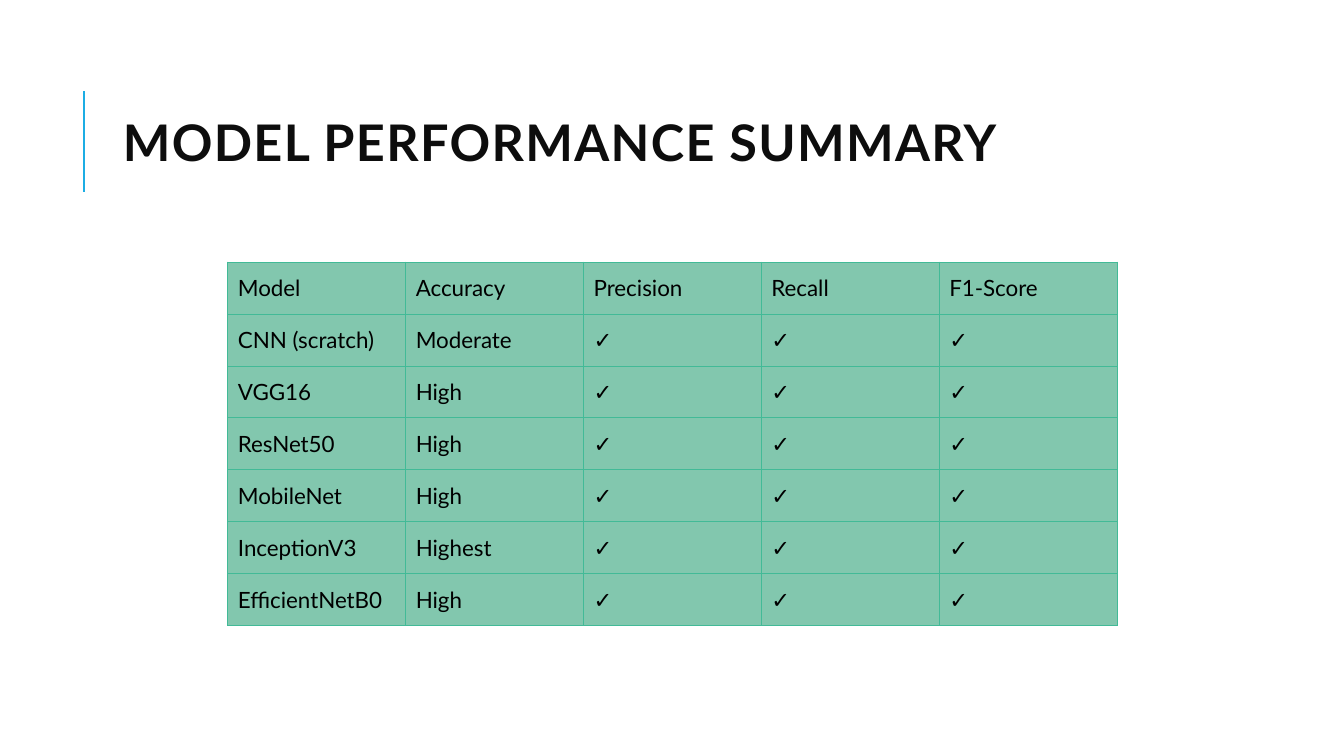
import pptx
import pptx.dml.color
import pptx.enum.shapes
import pptx.enum.text
import pptx.oxml
import pptx.oxml.ns
import pptx.util
from pptx.util import Inches

FONT = "Lato"
TICKS = ["✓"] * 3
ROWS = [["Model", "Accuracy", "Precision", "Recall", "F1-Score"]] + [
    [model, accuracy] + TICKS
    for model, accuracy in [
        ("CNN (scratch)", "Moderate"),
        ("VGG16", "High"),
        ("ResNet50", "High"),
        ("MobileNet", "High"),
        ("InceptionV3", "Highest"),
        ("EfficientNetB0", "High"),
    ]
]


def color(value):
    return pptx.dml.color.RGBColor.from_string(value)


def format_run(r, size, value, bold=False):
    r.font.name = FONT
    r.font.size = pptx.util.Pt(size)
    r.font.bold = bold
    r.font.color.rgb = color(value)


def add_accent_line(slide, x, top, bottom):
    line = slide.shapes.add_connector(
        pptx.enum.shapes.MSO_CONNECTOR.STRAIGHT,
        Inches(x), Inches(bottom), Inches(x), Inches(top))
    line.line.color.rgb = color("1CADE4")
    line.line.width = pptx.util.Pt(1.5)
    pptx.oxml.ns.qn("a:effectLst")
    line._element.spPr.append(
        pptx.oxml.parse_xml(f"<a:effectLst {pptx.oxml.ns.nsdecls('a')}/>"))


def add_title(slide, text, left, top, width, height):
    sp = slide.shapes.add_textbox(
        Inches(left), Inches(top), Inches(width), Inches(height))
    tf = sp.text_frame
    tf.word_wrap = True
    tf.vertical_anchor = pptx.enum.text.MSO_ANCHOR.MIDDLE
    tf.text = text
    p = tf.paragraphs[0]
    p.line_spacing = 0.8
    r = p.runs[0]
    format_run(r, 36, "0D0D0D", bold=True)
    r.font._element.set("spc", "100")


def set_borders(cell, value, width):
    tcPr = cell._tc.get_or_add_tcPr()
    for side in "LRTB":
        tcPr.append(pptx.oxml.parse_xml(
            f'<a:ln{side} {pptx.oxml.ns.nsdecls("a")} w="{pptx.util.Pt(width)}">'
            f'<a:solidFill><a:srgbClr val="{value}"/></a:solidFill></a:ln{side}>'))


def add_table(slide, rows, left, top, width, height):
    table = slide.shapes.add_table(
        len(rows), len(rows[0]),
        Inches(left), Inches(top), Inches(width), Inches(height)).table
    table.first_row = False
    table.horz_banding = False
    for i, row in enumerate(rows):
        for j, text in enumerate(row):
            cell = table.cell(i, j)
            cell.text = text
            cell.vertical_anchor = pptx.enum.text.MSO_ANCHOR.MIDDLE
            format_run(cell.text_frame.paragraphs[0].runs[0], 16, "000000")
            set_borders(cell, "42BA97", 0.75)
            cell.fill.solid()
            cell.fill.fore_color.rgb = color("82C7AE")


def main():
    prs = pptx.Presentation()
    prs.slide_width = Inches(13.33)
    prs.slide_height = Inches(7.5)
    slide = prs.slides.add_slide(prs.slide_layouts[6])
    add_accent_line(slide, 0.83, 0.9, 1.9)
    add_title(slide, "MODEL PERFORMANCE SUMMARY", 1.12, 0.64, 10.63, 1.64)
    add_table(slide, ROWS, 2.26, 2.6, 8.82, 3.61)
    prs.save("out.pptx")


if __name__ == "__main__":
    main()
